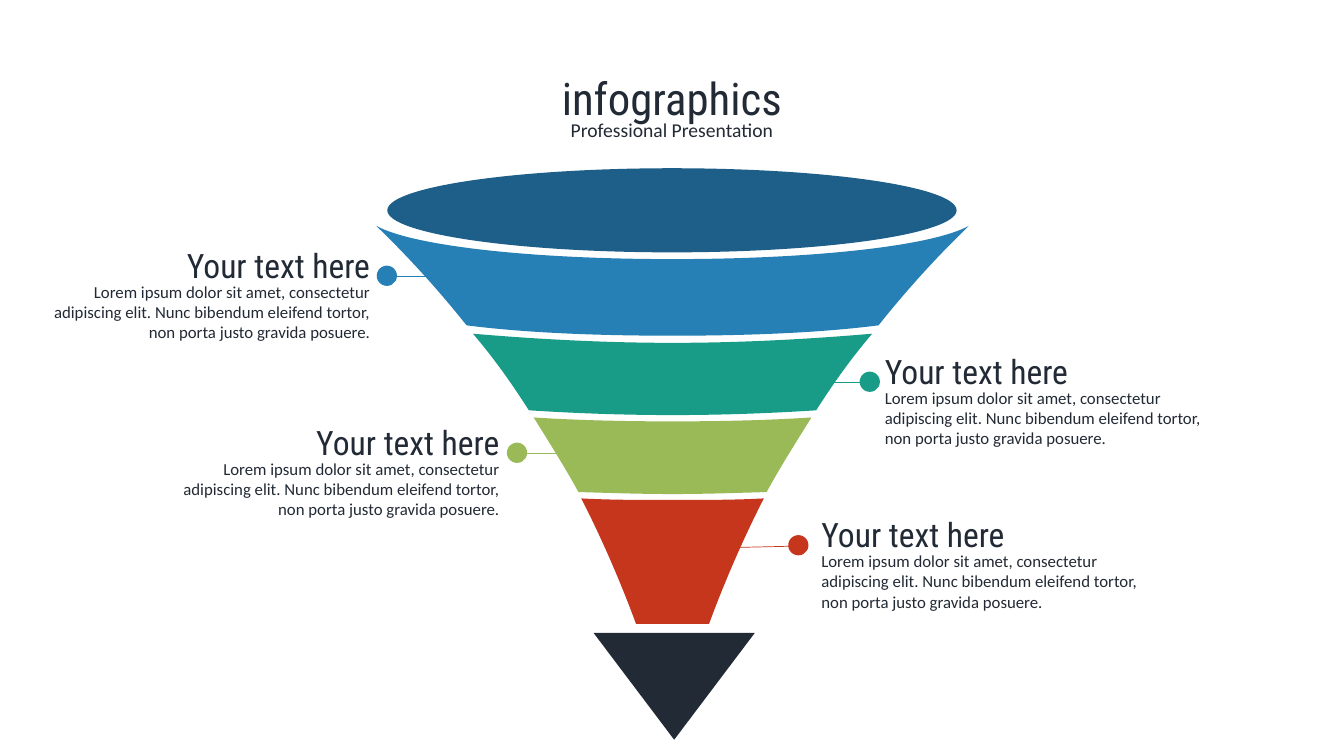
from lxml import etree
from pptx import Presentation
from pptx import util as u
from pptx.dml.color import RGBColor
from pptx.enum import shapes, text
from pptx.oxml.ns import qn

INK, BLUE, GREEN, LIME, RED = "222A35", "267FB5", "189C87", "9ABA58", "C5361C"
HEADING, BODY = "Roboto Condensed", "Calibri"
CENTRE, DOT = 16.95, 0.51
LEFT, RIGHT, MIDDLE = text.PP_ALIGN.LEFT, text.PP_ALIGN.RIGHT, text.PP_ALIGN.CENTER


def paint(shape, colour):
    shape.shadow.inherit = False
    shape.fill.solid()
    shape.fill.fore_color.rgb = RGBColor.from_string(colour)
    shape.line.fill.background()


def write(words, left, top, width, height, size, font, align, box=None):
    place = [u.Cm(value) for value in (left, top, width, height)]
    box = box or slide.shapes.add_textbox(*place)
    box.left, box.top, box.width, box.height = place
    frame = box.text_frame
    frame.word_wrap = True
    frame.auto_size = text.MSO_AUTO_SIZE.SHAPE_TO_FIT_TEXT
    frame.vertical_anchor = text.MSO_ANCHOR.TOP
    frame.text = words
    paragraph = frame.paragraphs[0]
    paragraph.alignment = align
    paragraph.line_spacing = 1.0
    paragraph.font.size = u.Pt(size)
    paragraph.font.name = font
    paragraph.font.color.rgb = RGBColor.from_string(INK)


presentation = Presentation()
presentation.slide_width, presentation.slide_height = u.Cm(33.87), u.Cm(19.05)
slide = presentation.slides.add_slide(presentation.slide_layouts[5])

# Title and subtitle
write("infographics", 2.24, 1.65, 29.39, 1.62, 32, HEADING, MIDDLE, box=slide.shapes.title)
write("Professional Presentation", 2.24, 2.84, 29.39, 0.86, 14, BODY, MIDDLE)

# Funnel mouth
mouth = slide.shapes.add_shape(
    shapes.MSO_SHAPE.OVAL, u.Cm(9.76), u.Cm(4.24), u.Cm(14.35), u.Cm(2.12))
paint(mouth, "1D5F88")

# Funnel bands: right half as three Bezier curves (offset from centre, height),
# running top centre, top corner, bottom corner, bottom centre
bands = [
    (LIME, [(0, 10.62), (1.24, 10.62), (2.43, 10.59), (3.5, 10.52), (3.12, 11.13),
            (2.74, 11.73), (2.37, 12.4), (1.64, 12.42), (0.83, 12.45), (0, 12.45)]),
    (GREEN, [(0, 8.64), (1.87, 8.64), (3.62, 8.53), (5.03, 8.41), (4.51, 9.02),
             (4.06, 9.65), (3.62, 10.34), (2.53, 10.41), (1.31, 10.46), (0, 10.46)]),
    (RED, [(0, 12.6), (0.81, 12.6), (1.57, 12.6), (2.3, 12.56), (1.8, 13.54),
           (1.33, 14.61), (0.92, 15.72), (0.6, 15.72), (0.3, 15.72), (0, 15.72)]),
    (BLUE, [(0, 6.53), (3.56, 6.53), (6.55, 6.2), (7.47, 5.69), (6.65, 6.48),
            (5.89, 7.32), (5.19, 8.2), (3.78, 8.38), (2, 8.46), (0, 8.46)]),
]
for colour, half in bands:
    outline = half + [(-x, y) for x, y in reversed(half[:-1])]
    points = [(u.Cm(CENTRE + x), u.Cm(y)) for x, y in outline]
    builder = slide.shapes.build_freeform(*points[0], scale=1.0)
    builder.add_line_segments(points[1:], close=True)
    band = builder.convert_to_shape()
    # Each three line segments become one cubic curve
    segments = list(band._element.iter(qn("a:lnTo")))
    for first in range(0, len(points) - 1, 3):
        curve = etree.Element(qn("a:cubicBezTo"))
        segments[first].addprevious(curve)
        for segment in segments[first:first + 3]:
            curve.append(segment[0])
            segment.getparent().remove(segment)
    paint(band, colour)

# Funnel tip
tip = slide.shapes.add_shape(
    shapes.MSO_SHAPE.ISOSCELES_TRIANGLE, u.Cm(14.96), u.Cm(15.95), u.Cm(4.06), u.Cm(2.69))
tip.rotation = 180
paint(tip, INK)

# Callouts: colour, text left, heading top, alignment, dot centre, line end, line drop
callouts = [
    (GREEN, 22.05, 8.71, LEFT, 21.92, 20.12, 0),
    (RED, 20.45, 12.83, LEFT, 20.12, 17.88, 0.05),
    (LIME, 4.05, 10.5, RIGHT, 13.03, 14.66, 0),
    (BLUE, 0.79, 6.04, RIGHT, 9.75, 11.91, 0),
]
for colour, left, top, align, dot_x, line_end, drop in callouts:
    level = top + 0.93
    write("Lorem ipsum dolor sit amet, consectetur adipiscing elit. "
          "Nunc bibendum eleifend tortor, non porta justo gravida posuere.",
          left, level, 8.79, 1.8, 12, BODY, align)
    write("Your text here", left, top, 8.79, 1.27, 24, HEADING, align)
    line = slide.shapes.add_connector(
        shapes.MSO_CONNECTOR.STRAIGHT,
        u.Cm(dot_x), u.Cm(level), u.Cm(line_end), u.Cm(level + drop))
    line.line.color.rgb = RGBColor.from_string(colour)
    line.line.width = u.Pt(0.5)
    etree.SubElement(line._element.spPr, qn("a:effectLst"))
    dot = slide.shapes.add_shape(
        shapes.MSO_SHAPE.OVAL, u.Cm(dot_x - DOT / 2), u.Cm(level - 0.02 - DOT / 2),
        u.Cm(DOT), u.Cm(DOT))
    paint(dot, colour)

presentation.save("out.pptx")
